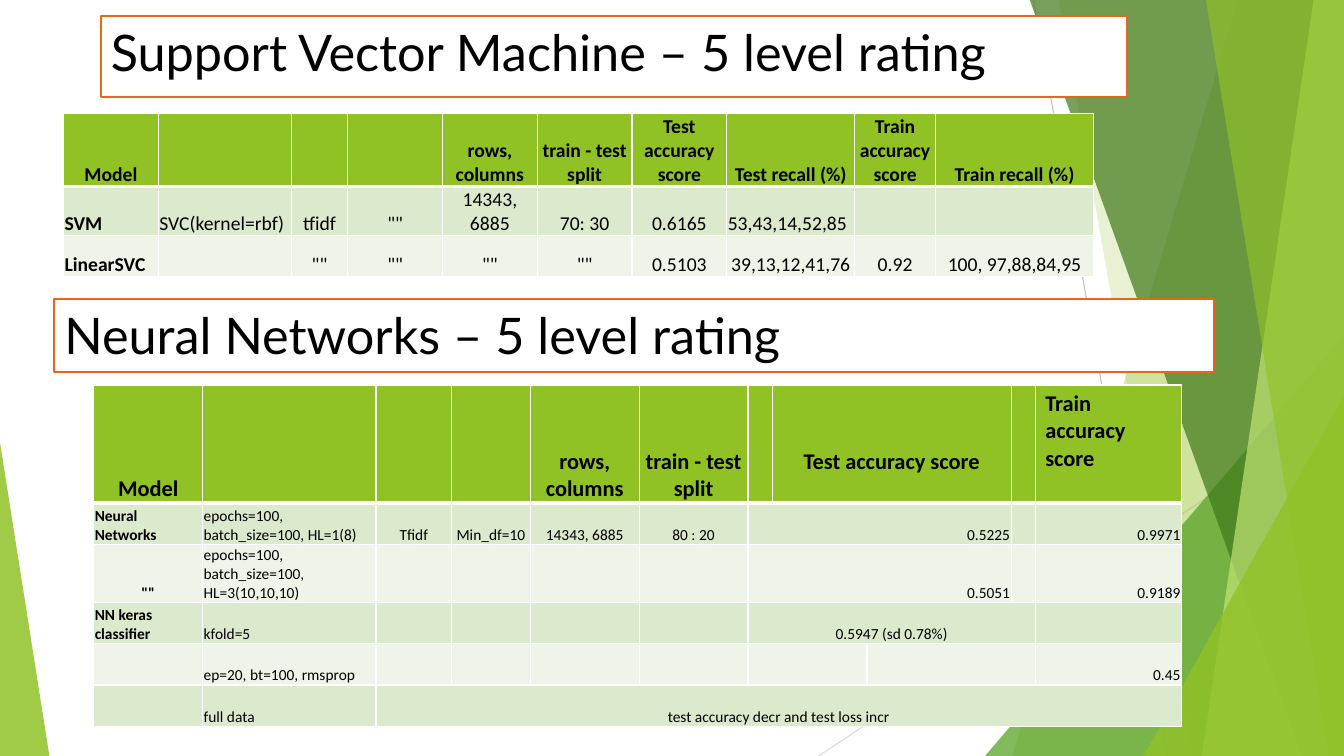
from lxml import etree
from pptx import Presentation
from pptx import util as u
from pptx.dml.color import RGBColor
from pptx.enum import shapes, text
from pptx.oxml.ns import qn

PX = 9144  # 100 px to the inch
ALIGN = {"l": text.PP_ALIGN.LEFT, "c": text.PP_ALIGN.CENTER, "r": text.PP_ALIGN.RIGHT}


def px(length):
    return u.Emu(length * PX)


def color(value):
    return RGBColor.from_string(value)


def write(frame, words, size=12, font="Calibri", ink="000000", bold=False, align="l"):
    frame.word_wrap = True
    para = frame.paragraphs[0]
    para.alignment = ALIGN[align]
    span = para.add_run()
    span.text = words
    span.font.size = u.Pt(size)
    span.font.name = font
    span.font.bold = bold
    span.font.color.rgb = color(ink)


class Slide:
    green, orange, white = "90C226", "E76618", "FFFFFF"
    bands = ("EEF4E8", "DBE9CD")

    def __init__(self, page):
        self.page = page

    def line(self, start, end, ink):
        line = self.page.shapes.add_connector(
            shapes.MSO_CONNECTOR.STRAIGHT, *map(px, start + end))
        line.line.color.rgb = color(ink)
        line.line.width = u.Pt(0.75)
        etree.SubElement(line.element.spPr, qn("a:effectLst"))

    def paint(self, shape, fill, opacity):
        """Fill a borderless shape with a see-through colour; opacity in percent."""
        shape.shadow.inherit = False
        shape.fill.solid()
        shape.fill.fore_color.rgb = color(fill)
        shape.line.fill.background()
        tint = shape.element.spPr.find(qn("a:solidFill"))[0]
        etree.SubElement(tint, qn("a:alpha")).set("val", str(opacity * 1000))

    def shard(self, top_left, bottom_left, fill, opacity):
        """Draw a full-height panel that runs to the right edge of the slide."""
        builder = self.page.shapes.build_freeform(top_left, -1, scale=PX)
        builder.add_line_segments([(1333, -1), (1333, 750), (bottom_left, 750)])
        self.paint(builder.convert_to_shape(), fill, opacity)

    def triangle(self, box, apex, fill, opacity):
        shape = self.page.shapes.add_shape(
            shapes.MSO_SHAPE.ISOSCELES_TRIANGLE, *map(px, box))
        shape.adjustments[0] = apex
        self.paint(shape, fill, opacity)

    def heading(self, box, words):
        shape = self.page.shapes.add_shape(shapes.MSO_SHAPE.RECTANGLE, *map(px, box))
        shape.shadow.inherit = False
        shape.fill.solid()
        shape.fill.fore_color.rgb = color(self.white)
        shape.line.color.rgb = color(self.orange)
        shape.line.width = u.Pt(1.5)
        shape.text_frame.vertical_anchor = text.MSO_ANCHOR.TOP
        write(shape.text_frame, words, size=36, font="Lato")

    def borders(self, cell, bottom):
        for side, points in (("L", 1), ("R", 1), ("T", 1), ("B", bottom)):
            edge = etree.SubElement(cell._tc.get_or_add_tcPr(), qn(f"a:ln{side}"))
            edge.set("w", str(u.Pt(points)))
            fill = etree.SubElement(edge, qn("a:solidFill"))
            etree.SubElement(fill, qn("a:srgbClr")).set("val", self.white)

    def table(self, left, top, widths, heights, rows, aligns, sizes, spans):
        """Draw a banded table; aligns has one letter per cell, sizes is (head, body),
        spans maps (row, column) to the number of columns merged."""
        table = self.page.shapes.add_table(
            len(rows), len(widths), px(left), px(top),
            px(sum(widths)), px(sum(heights))).table
        for column, width in zip(table.columns, widths):
            column.width = px(width)
        for row, height in zip(table.rows, heights):
            row.height = px(height)
        for (r, c), count in spans.items():
            table.cell(r, c).merge(table.cell(r, c + count - 1))
        for r, row in enumerate(rows):
            for c, words in enumerate(row):
                cell = table.cell(r, c)
                self.borders(cell, bottom=1 if r else 3)
                cell.fill.solid()
                cell.fill.fore_color.rgb = color(self.bands[r % 2] if r else self.green)
                if words:
                    cell.vertical_anchor = text.MSO_ANCHOR.BOTTOM
                    cell.margin_left = cell.margin_right = cell.margin_top = px(1)
                    cell.margin_bottom = 0
                    write(cell.text_frame, words, size=sizes[r > 0],
                          bold=r == 0 or c == 0, align=aligns[r][c])
        return table


def draw_backdrop(slide):
    slide.line((1025, 0), (1158, 750), "BFBFBF")
    slide.line((1333, 403), (812, 750), "D9D9D9")
    slide.shard(1228, 1004, "90C226", 30)
    slide.shard(1050, 1183, "90C226", 20)
    slide.triangle((977, 333, 356, 417), 1, "54A021", 72)
    slide.shard(1021, 1291, "3F7819", 70)
    slide.shard(1303, 1192, "C0E474", 70)
    slide.shard(1196, 1318, "90C226", 65)
    slide.triangle((1134, 393, 199, 357), 1, "90C226", 80)
    slide.triangle((0, 439, 49, 311), 0, "90C226", 85)


def draw_networks(slide):
    slide.heading((54, 297, 1150, 72), "Neural Networks – 5 level rating")
    rows = [
        ["Model", "", "", "", "rows, columns", "train - test split", "",
         "Test accuracy score", "", "", "Train accuracy score"],
        ["Neural Networks", "epochs=100, batch_size=100, HL=1(8)", "Tfidf", "Min_df=10",
         "14343, 6885", "80 : 20", "0.5225", "", "", "", "0.9971"],
        ['""', "epochs=100, batch_size=100, HL=3(10,10,10)", "", "", "", "",
         "0.5051", "", "", "", "0.9189"],
        ["NN keras classifier", "kfold=5", "", "", "", "", "0.5947 (sd 0.78%)",
         "", "", "", ""],
        ["", "ep=20, bt=100, rmsprop", "", "", "", "", "", "", "", "", "0.45"],
        ["", "full data", "test accuracy decr and test loss incr",
         "", "", "", "", "", "", "", ""],
    ]
    aligns = ["c" * 10 + "l", "llccccrrrrr", "clccccrrrrr",
              "ll" + "c" * 9, "llccccccccr", "ll" + "c" * 9]
    table = slide.table(
        93, 382, [108, 172, 75, 78, 108, 108, 15, 94, 143, 13, 145],
        [117, 41, 57, 41, 41, 41], rows, aligns, (16, 11),
        {(0, 7): 2, (1, 6): 3, (2, 6): 3, (3, 6): 4, (4, 6): 2, (4, 8): 2, (5, 2): 9})
    table.cell(0, 7).margin_bottom = px(27)
    train = table.cell(0, 10)
    train.vertical_anchor = text.MSO_ANCHOR.TOP
    train.margin_left = train.margin_right = px(10)
    train.margin_top = px(5)


def draw_vector_machine(slide):
    slide.heading((100, 16, 1018, 80), "Support Vector Machine – 5 level rating")
    rows = [
        ["Model", "", "", "", "rows, columns", "train - test split",
         "Test accuracy score", "Test recall (%)", "Train accuracy score",
         "Train recall (%)"],
        ["SVM", "SVC(kernel=rbf)", "tfidf", '""', "14343, 6885", "70: 30", "0.6165",
         "53,43,14,52,85", "", ""],
        ["LinearSVC", "", '""', '""', '""', '""', "0.5103", "39,13,12,41,76", "0.92",
         "100, 97,88,84,95"],
    ]
    slide.table(63, 113, [94, 132, 56, 94, 94, 94, 94, 127, 80, 157], [72, 48, 41],
                rows, ["c" * 10, "llccccclcc", "ll" + "c" * 8], (14, 14), {})


def main():
    deck = Presentation()
    deck.slide_width, deck.slide_height = px(1333), px(750)
    slide = Slide(deck.slides.add_slide(deck.slide_layouts[6]))
    draw_backdrop(slide)
    draw_networks(slide)
    draw_vector_machine(slide)
    deck.save("out.pptx")


if __name__ == "__main__":
    main()
